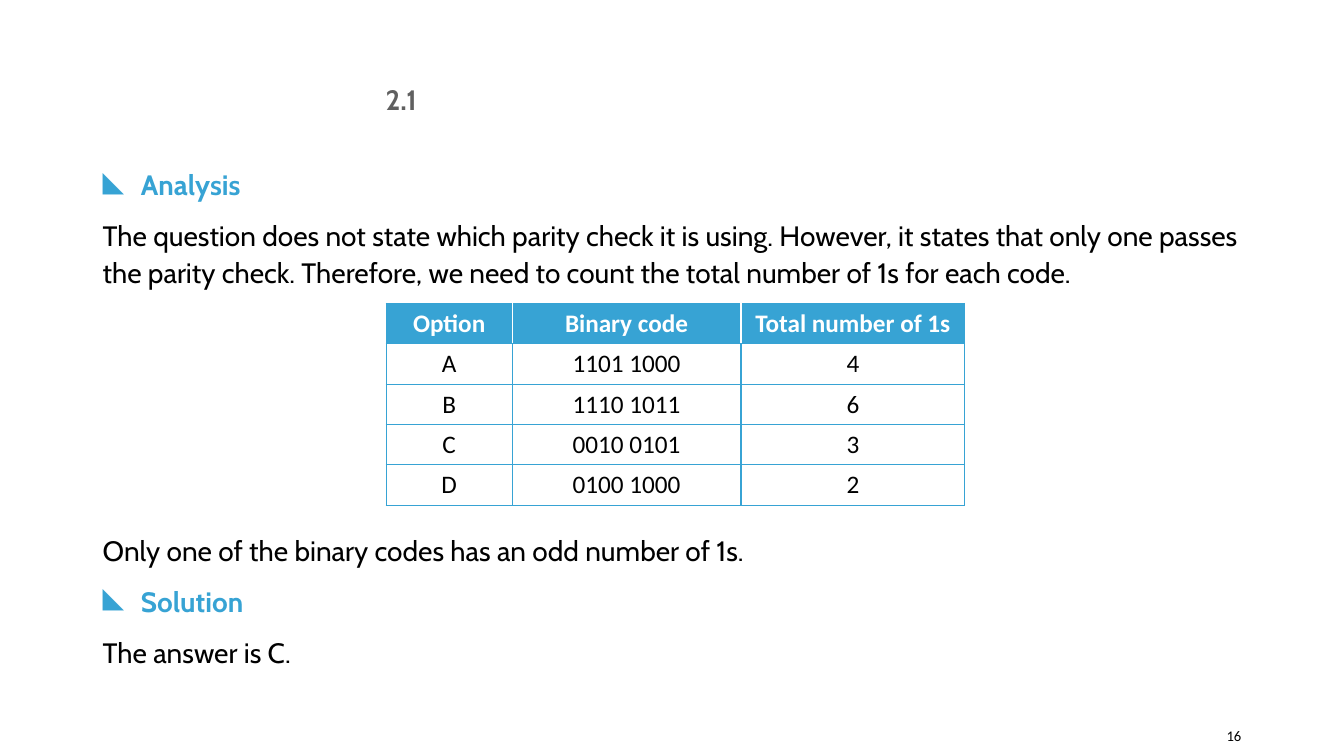
"""Build a slide that solves a parity-check question with a table of binary codes."""
from dataclasses import dataclass

import pptx
import pptx.dml.color
import pptx.enum.text
import pptx.oxml
import pptx.oxml.ns
import pptx.util

Inches, Pt = pptx.util.Inches, pptx.util.Pt
ALIGN, ANCHOR = pptx.enum.text.PP_ALIGN, pptx.enum.text.MSO_ANCHOR

SECTION = "2.1"
PAGE = "16"
ANALYSIS = [
    ("heading", "Analysis"),
    ("body", "The question does not state which parity check it is using. However, it states "
             "that only one passes the parity check. Therefore, we need to count the total "
             "number of 1s for each code."),
]
SOLUTION = [
    ("body", "Only one of the binary codes has an odd number of 1s."),
    ("heading", "Solution"),
    ("body", "The answer is C."),
]
CODES = [
    ("Option", "Binary code", "Total number of 1s"),
    ("A", "1101 1000", "4"),
    ("B", "1110 1011", "6"),
    ("C", "0010 0101", "3"),
    ("D", "0100 1000", "2"),
]


@dataclass(frozen=True)
class Theme:
    blue: str = "37A3D4"
    black: str = "000000"
    grey: str = "606060"
    white: str = "FFFFFF"
    text_font: str = "Cabin"
    table_font: str = "Calibri"
    text_size: float = 20
    table_size: float = 18
    page_size: float = 10.5


THEME = Theme()
WIDTH, HEIGHT = 13.33, 7.5
LEFT, TEXT_WIDTH = 0.92, 11.5
ANALYSIS_TOP, SOLUTION_TOP, TEXT_BOTTOM = 1.58, 5.21, 6.89
TABLE_LEFT, TABLE_TOP, ROW_HEIGHT = 3.83, 3.01, 0.4
COLUMNS = (1.25, 2.27, 2.22)
BULLET_INDENT = 0.38


def add_run(paragraph, text, font, size, color, bold=False):
    run = paragraph.add_run()
    run.text = text
    run.font.name, run.font.size, run.font.bold = font, Pt(size), bold
    run.font.color.rgb = pptx.dml.color.RGBColor.from_string(color)


def add_frame(slide, left, top, width, height, anchor=ANCHOR.TOP):
    frame = slide.shapes.add_textbox(*map(Inches, (left, top, width, height))).text_frame
    frame.word_wrap, frame.vertical_anchor = True, anchor
    return frame


def add_bullet(paragraph):
    properties = paragraph._p.get_or_add_pPr()
    properties.set("marL", str(Inches(BULLET_INDENT)))
    properties.set("indent", str(-Inches(BULLET_INDENT)))
    bullet = pptx.oxml.parse_xml(f'<a:buChar {pptx.oxml.ns.nsdecls("a")} char="◣"/>')
    properties.append(bullet)


def add_prose(slide, top, bottom, lines):
    frame = add_frame(slide, LEFT, top, TEXT_WIDTH, bottom - top)
    for index, (role, text) in enumerate(lines):
        paragraph = frame.add_paragraph() if index else frame.paragraphs[0]
        heading = role == "heading"
        if heading:
            add_bullet(paragraph)
        paragraph.line_spacing = 1.1
        paragraph.space_before = Pt(10 if index else 0)
        add_run(paragraph, text, THEME.text_font, THEME.text_size,
                THEME.blue if heading else THEME.black, heading)


def add_label(slide, box, align, *style):
    paragraph = add_frame(slide, *box, ANCHOR.MIDDLE).paragraphs[0]
    paragraph.alignment = align
    add_run(paragraph, *style)


def set_borders(cell, colors):
    for position, (side, color) in enumerate(zip("LRTB", colors)):
        border = pptx.oxml.parse_xml(
            f'<a:ln{side} {pptx.oxml.ns.nsdecls("a")} w="{Pt(1)}"><a:solidFill>'
            f'<a:srgbClr val="{color}"/></a:solidFill></a:ln{side}>')
        cell._tc.get_or_add_tcPr().insert(position, border)


def add_codes(slide):
    table = slide.shapes.add_table(
        len(CODES), len(COLUMNS), Inches(TABLE_LEFT), Inches(TABLE_TOP),
        Inches(sum(COLUMNS)), Inches(ROW_HEIGHT * len(CODES))).table
    for column, width in zip(table.columns, COLUMNS):
        column.width = Inches(width)
    last = len(COLUMNS) - 1
    for r, row in enumerate(CODES):
        header = r == 0
        for c, text in enumerate(row):
            cell = table.cell(r, c)
            cell.fill.solid()
            cell.fill.fore_color.rgb = pptx.dml.color.RGBColor.from_string(
                THEME.blue if header else THEME.white)
            set_borders(cell, (THEME.white if header and c > 0 else THEME.blue,
                               THEME.white if header and c < last else THEME.blue,
                               THEME.blue, THEME.blue))
            paragraph = cell.text_frame.paragraphs[0]
            paragraph.alignment = ALIGN.CENTER
            add_run(paragraph, text, THEME.table_font, THEME.table_size,
                    THEME.white if header else THEME.black, header)


def main():
    deck = pptx.Presentation()
    deck.slide_width, deck.slide_height = Inches(WIDTH), Inches(HEIGHT)
    slide = deck.slides.add_slide(deck.slide_layouts[6])
    add_prose(slide, ANALYSIS_TOP, TABLE_TOP, ANALYSIS)
    add_prose(slide, SOLUTION_TOP, TEXT_BOTTOM, SOLUTION)
    add_label(slide, (11.57, 7.1, 0.84, 0.4), ALIGN.RIGHT,
              PAGE, THEME.table_font, THEME.page_size, THEME.black)
    add_label(slide, (3.51, 0.83, 0.94, 0.31), ALIGN.CENTER,
              SECTION, THEME.text_font, THEME.text_size, THEME.grey, True)
    add_codes(slide)
    deck.save("out.pptx")


if __name__ == "__main__":
    main()
